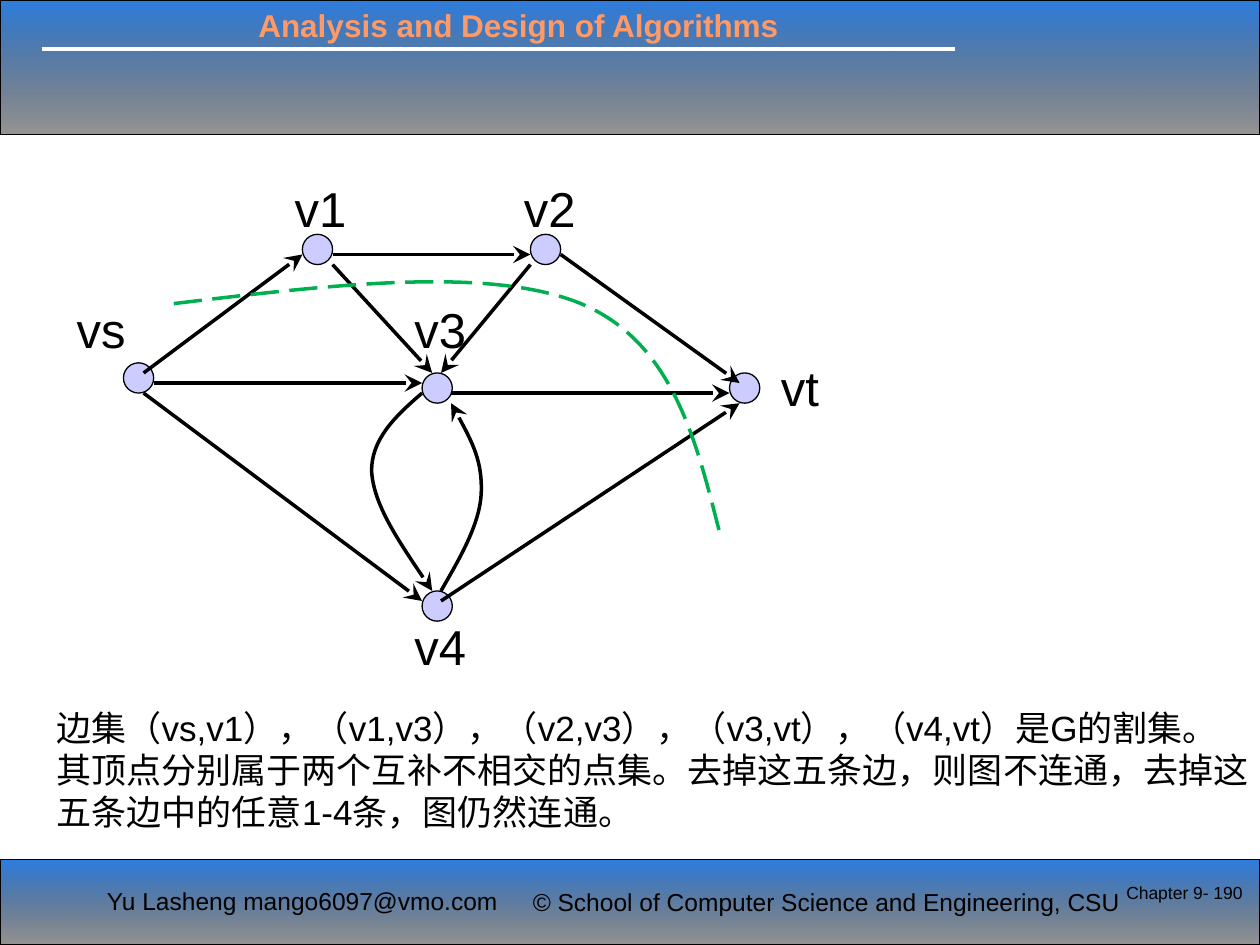
import pptx
import pptx.dml.color
import pptx.enum.dml
import pptx.enum.shapes
import pptx.enum.text
import pptx.oxml.ns
import pptx.util
from lxml import etree
from pptx.util import Inches

COLORS = {
    "band_top": "0E6BDC",
    "band_bottom": "000000",
    "title": "FF9966",
    "rule": "FFFFFF",
    "ink": "000000",
    "node": "CCCCFF",
    "cut": "00B050",
}
ALIGN = pptx.enum.text.PP_ALIGN
NODE_SIZE = 0.24
LABEL_WIDTH, LABEL_HEIGHT = 0.63, 0.57

# Positions below are in inches, relative to the graph's box.
NODES = {  # name: (node left, node top, label left, label top)
    "vs": (0.47, 1.51, 0, 0.96),
    "v1": (1.89, 0.49, 1.73, 0),
    "v2": (3.7, 0.49, 3.55, 0),
    "v3": (2.84, 1.59, 2.68, 0.96),
    "v4": (2.84, 3.32, 2.68, 3.47),
    "vt": (5.28, 1.59, 5.59, 1.42),
}
STRAIGHT_EDGES = [
    ((0.63, 1.59), (1.89, 0.65)),  # vs-v1
    ((2.13, 0.65), (3.7, 0.65)),   # v1-v2
    ((0.71, 1.67), (2.84, 1.67)),  # vs-v3
    ((3.07, 1.75), (5.28, 1.75)),  # v3-vt
    ((3.94, 0.65), (5.36, 1.67)),  # v2-vt
    ((2.13, 0.73), (2.92, 1.59)),  # v1-v3
    ((3.7, 0.73), (2.99, 1.59)),   # v2-v3
    ((0.63, 1.75), (2.84, 3.4)),   # vs-v4
    ((2.99, 3.4), (5.36, 1.83)),   # v4-vt
]
# Each curve is a start point followed by groups of three Bezier points.
CURVED_EDGES = [
    [(2.84, 1.75), (2.63, 1.93), (2.43, 2.12), (2.44, 2.38),
     (2.46, 2.64), (2.69, 2.98), (2.92, 3.32)],  # v3-v4
    [(2.99, 3.32), (3.14, 3.06), (3.3, 2.79), (3.31, 2.54),
     (3.32, 2.29), (3.2, 2.06), (3.07, 1.83)],   # v4-v3
]
CUT_CURVE = [(0.87, 1.04), (2.12, 0.89), (3.37, 0.74), (4.1, 1.04),
             (4.82, 1.34), (5.01, 2.1), (5.2, 2.85)]


def rgb(name):
    return pptx.dml.color.RGBColor.from_string(COLORS[name])


def add_child(parent, tag, **attributes):
    return etree.SubElement(parent, pptx.oxml.ns.qn(tag), attributes)


def style_line(shape, color, width, arrow=False):
    shape.line.color.rgb = rgb(color)
    shape.line.width = pptx.util.Pt(width)
    if arrow:
        add_child(shape.line._get_or_add_ln(), "a:tailEnd",
                  type="stealth", w="lg", len="lg")


def style_text(shape, text, size, color="ink", bold=False, align=ALIGN.LEFT, wrap=True):
    frame = shape.text_frame
    frame.text = text
    frame.word_wrap = wrap
    frame.vertical_anchor = pptx.enum.text.MSO_ANCHOR.TOP
    paragraph = frame.paragraphs[0]
    paragraph.alignment = align
    font = paragraph.runs[0].font
    font.name = "Arial"
    font.size = pptx.util.Pt(size)
    font.bold = bold
    font.color.rgb = rgb(color)


def add_text(slide, box, text, size, **style):
    style_text(slide.shapes.add_textbox(*map(Inches, box)), text, size, **style)


def add_line(slide, start, end, color, width, arrow=False):
    line = slide.shapes.add_connector(
        pptx.enum.shapes.MSO_CONNECTOR.STRAIGHT, *map(Inches, start + end))
    style_line(line, color, width, arrow)
    add_child(line._element.spPr, "a:effectLst")


def add_curve(slide, points, color, arrow=False):
    """Draw the points as a polyline, then regroup its segments as Bezier curves."""
    emu_points = [(Inches(x), Inches(y)) for x, y in points]
    builder = slide.shapes.build_freeform(*emu_points[0])
    builder.add_line_segments(emu_points[1:], close=False)
    shape = builder.convert_to_shape()
    shape.shadow.inherit = False
    shape.fill.background()
    style_line(shape, color, 2, arrow)
    outline = next(shape._element.iter(pptx.oxml.ns.qn("a:path")))
    segments = outline.findall(pptx.oxml.ns.qn("a:lnTo"))
    for first in range(0, len(segments), 3):
        curve = add_child(outline, "a:cubicBezTo")
        for segment in segments[first:first + 3]:
            curve.append(segment[0])
            outline.remove(segment)
    return shape


def add_band(slide, left, top, width, height):
    band = slide.shapes.add_shape(
        pptx.enum.shapes.MSO_SHAPE.RECTANGLE, *map(Inches, (left, top, width, height)))
    band.shadow.inherit = False
    style_line(band, "ink", 0.75)
    band.fill.gradient()
    band.fill.gradient_angle = 270
    stops = [("band_top", 0, 88), ("band_bottom", 1, 41)]
    for stop, (color, position, opacity) in zip(band.fill.gradient_stops, stops):
        stop.color.rgb = rgb(color)
        stop.position = position
        value = next(stop._gs.iter(pptx.oxml.ns.qn("a:srgbClr")))
        add_child(value, "a:alpha", val=str(opacity * 1000))


def add_header(slide, left, top, width, height):
    add_band(slide, left, top, width, height)
    add_line(slide, (left + 0.33, top + 0.39), (left + 7.58, top + 0.39), "rule", 2.25)
    title = slide.shapes.title
    title.left, title.top = Inches(left + 1.95), Inches(top)
    title.width, title.height = Inches(5), Inches(0.4)
    style_text(title, "Analysis and Design of Algorithms", 18, color="title", bold=True)
    slide.shapes._spTree.append(title._element)  # bring in front of the band


def add_footer(slide, left, top, width, height):
    add_band(slide, left, top, width, height)
    add_text(slide, (left + 0.75, top + 0.16, 3.38, 0.34),
             "Yu Lasheng mango6097@vmo.com", 14, wrap=False)
    add_text(slide, (left + 4.13, top + 0.17, 5.12, 0.34),
             "© School of Computer Science and Engineering, CSU", 14, wrap=False)
    add_text(slide, (left + 8.7, top + 0.13, 1.26, 0.5),
             "Chapter 9- 190", 10, align=ALIGN.RIGHT)


def add_graph(slide, left, top):
    def place(point):
        return left + point[0], top + point[1]

    for node_left, node_top, _, _ in NODES.values():
        box = place((node_left, node_top)) + (NODE_SIZE, NODE_SIZE)
        node = slide.shapes.add_shape(
            pptx.enum.shapes.MSO_SHAPE.OVAL, *map(Inches, box))
        node.shadow.inherit = False
        node.fill.solid()
        node.fill.fore_color.rgb = rgb("node")
        style_line(node, "ink", 0.75)
    for start, end in STRAIGHT_EDGES:
        add_line(slide, place(start), place(end), "ink", 2, arrow=True)
    for points in CURVED_EDGES:
        add_curve(slide, [place(point) for point in points], "ink", arrow=True)
    for name, (_, _, label_left, label_top) in NODES.items():
        box = place((label_left, label_top)) + (LABEL_WIDTH, LABEL_HEIGHT)
        add_text(slide, box, name, 28, wrap=False)
    cut = add_curve(slide, [place(point) for point in CUT_CURVE], "cut")
    cut.line.dash_style = pptx.enum.dml.MSO_LINE.LONG_DASH


def main():
    presentation = pptx.Presentation()
    presentation.slide_width, presentation.slide_height = Inches(10), Inches(7.5)
    slide = presentation.slides.add_slide(presentation.slide_layouts[5])
    add_header(slide, 0, 0, 10, 1.07)
    add_footer(slide, 0, 6.82, 10, 0.68)
    add_graph(slide, 0.51, 1.37)
    add_text(slide, (0.35, 5.56, 9.69, 1.11),
             "边集（vs,v1），（v1,v3），（v2,v3），（v3,vt），（v4,vt）是G的割集。"
             "其顶点分别属于两个互补不相交的点集。去掉这五条边，则图不连通，"
             "去掉这五条边中的任意1-4条，图仍然连通。", 20)
    presentation.save("out.pptx")


if __name__ == "__main__":
    main()
